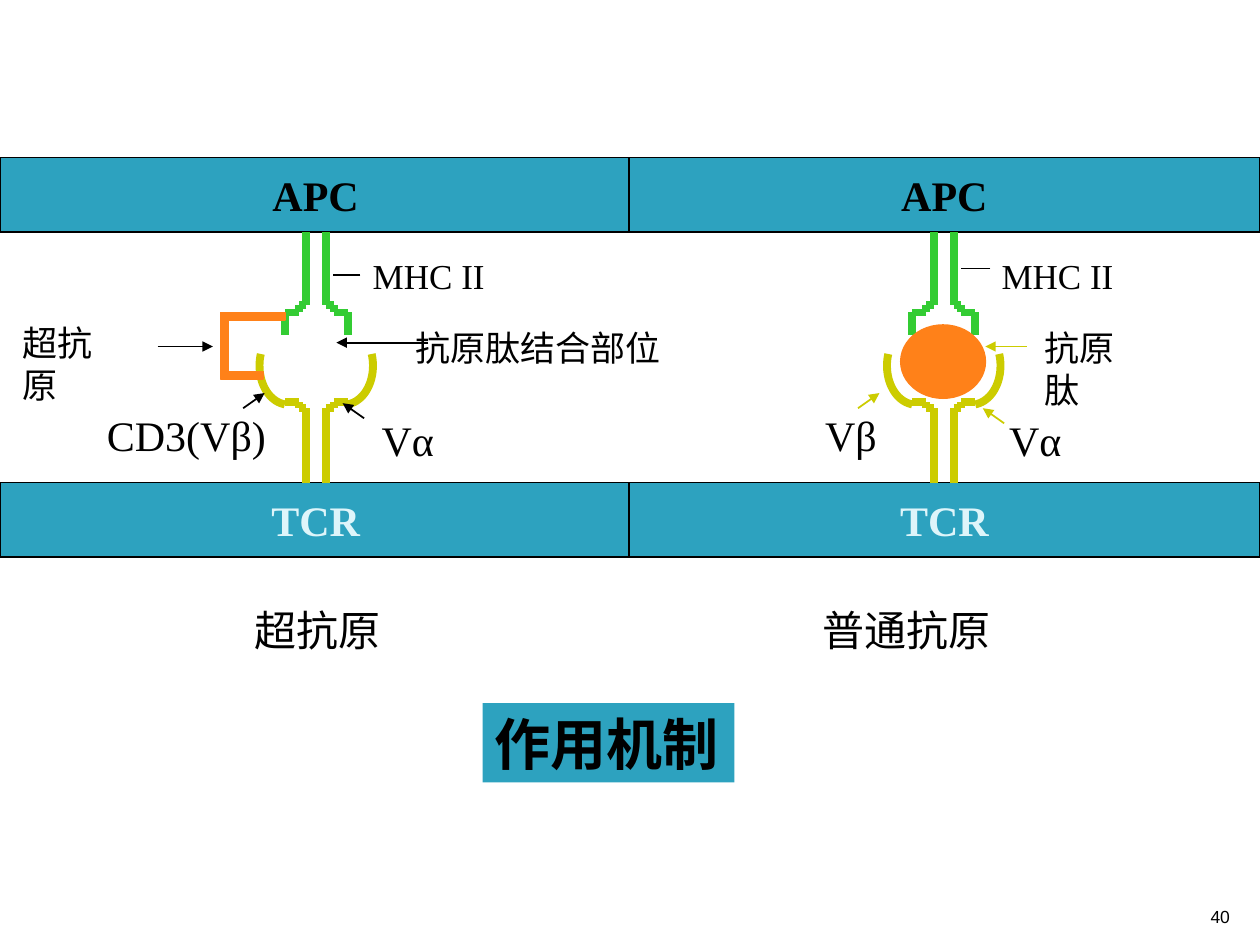
from lxml import etree
from pptx import Presentation
from pptx.dml.color import RGBColor
from pptx.enum.shapes import MSO_CONNECTOR, MSO_SHAPE
from pptx.enum.text import MSO_ANCHOR, MSO_AUTO_SIZE, PP_ALIGN
from pptx.oxml.ns import qn
from pptx.util import Inches, Pt

STRAIGHT = MSO_CONNECTOR.STRAIGHT
RECT, OVAL = MSO_SHAPE.RECTANGLE, MSO_SHAPE.OVAL
MIDDLE, BOTTOM = MSO_ANCHOR.MIDDLE, MSO_ANCHOR.BOTTOM
LEFT, CENTER, RIGHT = PP_ALIGN.LEFT, PP_ALIGN.CENTER, PP_ALIGN.RIGHT
GROW = MSO_AUTO_SIZE.SHAPE_TO_FIT_TEXT

rgb = RGBColor.from_string
BLACK, TEAL, PALE = "000000", "2DA2BF", "DEF5FA"
GREEN, OLIVE, ORANGE = "33CC33", "CCCC00", "FF8119"
SERIF = "Times New Roman"


def write(s, text, size, color=BLACK, bold=False, align=LEFT, font=SERIF):
    p = s.text_frame.paragraphs[0]
    p.alignment = align
    r = p.add_run()
    r.text = text
    r.font.name = font
    r.font.size = Pt(size)
    r.font.bold = bold
    r.font.color.rgb = rgb(color)


def add_line(x1, y1, x2, y2, color, width=1, arrow=False):
    c = s.shapes.add_connector(STRAIGHT, Inches(x1), Inches(y1), Inches(x2), Inches(y2))
    c.line.color.rgb = rgb(color)
    c.line.width = Pt(width)
    if arrow:
        etree.SubElement(c.line._get_or_add_ln(), qn("a:tailEnd"), type="triangle")
    etree.SubElement(c._element.spPr, qn("a:effectLst"))


prs = Presentation()
prs.slide_width, prs.slide_height = Inches(10), Inches(7.5)
s = prs.slides.add_slide(prs.slide_layouts[6])

# Cell bands
for x in (0, 4.99):
    for y, name, color in ((3.83, "TCR", PALE), (1.25, "APC", BLACK)):
        band = s.shapes.add_shape(RECT, Inches(x), Inches(y), Inches(5.01), Inches(0.59))
        band.shadow.inherit = False
        band.fill.solid()
        band.fill.fore_color.rgb = rgb(TEAL)
        band.line.color.rgb = rgb(BLACK)
        band.line.width = Pt(1)
        band.text_frame.word_wrap = False
        band.text_frame.vertical_anchor = MIDDLE
        write(band, name, 24, color, True, CENTER)

# Receptors: (distance from the axis, y) points, mirrored about each axis
MHC = [(0.08, 1.84), (0.08, 2.42), (0.14, 2.42), (0.14, 2.48), (0.25, 2.48), (0.25, 2.66)]
TCR = [(0.08, 3.83), (0.08, 3.24), (0.14, 3.24), (0.14, 3.19), (0.25, 3.19)]
V_CURVE = [(0.25, 3.21), (0.4, 3.18), (0.48, 2.99), (0.44, 2.81)]
STEPS = 24
for axis in (2.51, 7.49):
    for side in (-1, 1):
        for outline, color in ((MHC, GREEN), (TCR, OLIVE)):
            for (dx1, y1), (dx2, y2) in zip(outline, outline[1:]):
                add_line(axis + side * dx1, y1, axis + side * dx2, y2, color, 4.5)
        curve = []
        for i in range(STEPS + 1):
            t = i / STEPS
            weights = ((1 - t) ** 3, 3 * t * (1 - t) ** 2, 3 * t**2 * (1 - t), t**3)
            dx = sum(w * pt[0] for w, pt in zip(weights, V_CURVE))
            y = sum(w * pt[1] for w, pt in zip(weights, V_CURVE))
            curve.append((Inches(axis + side * dx), Inches(y)))
        builder = s.shapes.build_freeform(*curve[0])
        builder.add_line_segments(curve[1:], close=False)
        arc = builder.convert_to_shape()
        arc.shadow.inherit = False
        arc.fill.background()
        arc.line.color.rgb = rgb(OLIVE)
        arc.line.width = Pt(4.5)

# Superantigen bracket and antigen peptide
for kind, x, y, w, h in (
    (RECT, 1.75, 2.48, 0.51, 0.06),
    (RECT, 1.75, 2.48, 0.06, 0.47),
    (RECT, 1.75, 2.95, 0.34, 0.06),
    (OVAL, 7.15, 2.58, 0.67, 0.58),
):
    antigen = s.shapes.add_shape(kind, Inches(x), Inches(y), Inches(w), Inches(h))
    antigen.shadow.inherit = False
    antigen.fill.solid()
    antigen.fill.fore_color.rgb = rgb(ORANGE)
    antigen.line.color.rgb = rgb(ORANGE)
    antigen.line.width = Pt(1)

# Labels and captions
for text, x, y, w, h, size in (
    ("超抗原", 0.08, 2.5, 1.03, 0.43, 20),
    ("CD3(Vβ)", 0.75, 3.2, 1.58, 0.5, 24),
    ("Vα", 2.93, 3.24, 0.78, 0.5, 24),
    ("MHC II", 2.86, 1.97, 1.09, 0.43, 20),
    ("抗原肽结合部位", 3.2, 2.54, 2.15, 0.43, 20),
    ("Vβ", 6.45, 3.2, 0.86, 0.5, 24),
    ("Vα", 7.91, 3.24, 0.78, 0.5, 24),
    ("MHC II", 7.85, 1.97, 1.09, 0.43, 20),
    ("抗原肽", 8.19, 2.54, 1.03, 0.43, 20),
    ("超抗原", 1.92, 4.75, 1.2, 0.5, 24),
    ("普通抗原", 6.43, 4.75, 1.53, 0.5, 24),
):
    label = s.shapes.add_textbox(Inches(x), Inches(y), Inches(w), Inches(h))
    label.text_frame.word_wrap = True
    label.text_frame.auto_size = GROW
    write(label, text, size)

# Pointers
for x1, y1, x2, y2, color, arrow in (
    (1.25, 2.75, 1.69, 2.75, BLACK, True),
    (1.93, 3.24, 2.1, 3.12, BLACK, True),
    (2.89, 3.32, 2.72, 3.2, BLACK, True),
    (3.4, 2.72, 2.67, 2.72, BLACK, True),
    (2.86, 2.18, 2.64, 2.18, BLACK, False),
    (6.81, 3.24, 6.98, 3.12, OLIVE, True),
    (7.97, 3.36, 7.8, 3.24, OLIVE, True),
    (7.86, 2.13, 7.63, 2.13, BLACK, False),
    (8.15, 2.75, 7.82, 2.75, OLIVE, True),
):
    add_line(x1, y1, x2, y2, color, arrow=arrow)

# Title box
title = s.shapes.add_textbox(Inches(3.83), Inches(5.58), Inches(2), Inches(0.63))
title.fill.solid()
title.fill.fore_color.rgb = rgb(TEAL)
title.text_frame.word_wrap = True
title.text_frame.auto_size = GROW
write(title, "作用机制", 32, bold=True)

# Slide number
number = s.shapes.add_textbox(Inches(9.46), Inches(7.01), Inches(0.4), Inches(0.4))
number.text_frame.word_wrap = True
number.text_frame.vertical_anchor = BOTTOM
write(number, "40", 10, align=RIGHT, font="Arial")

prs.save("out.pptx")
